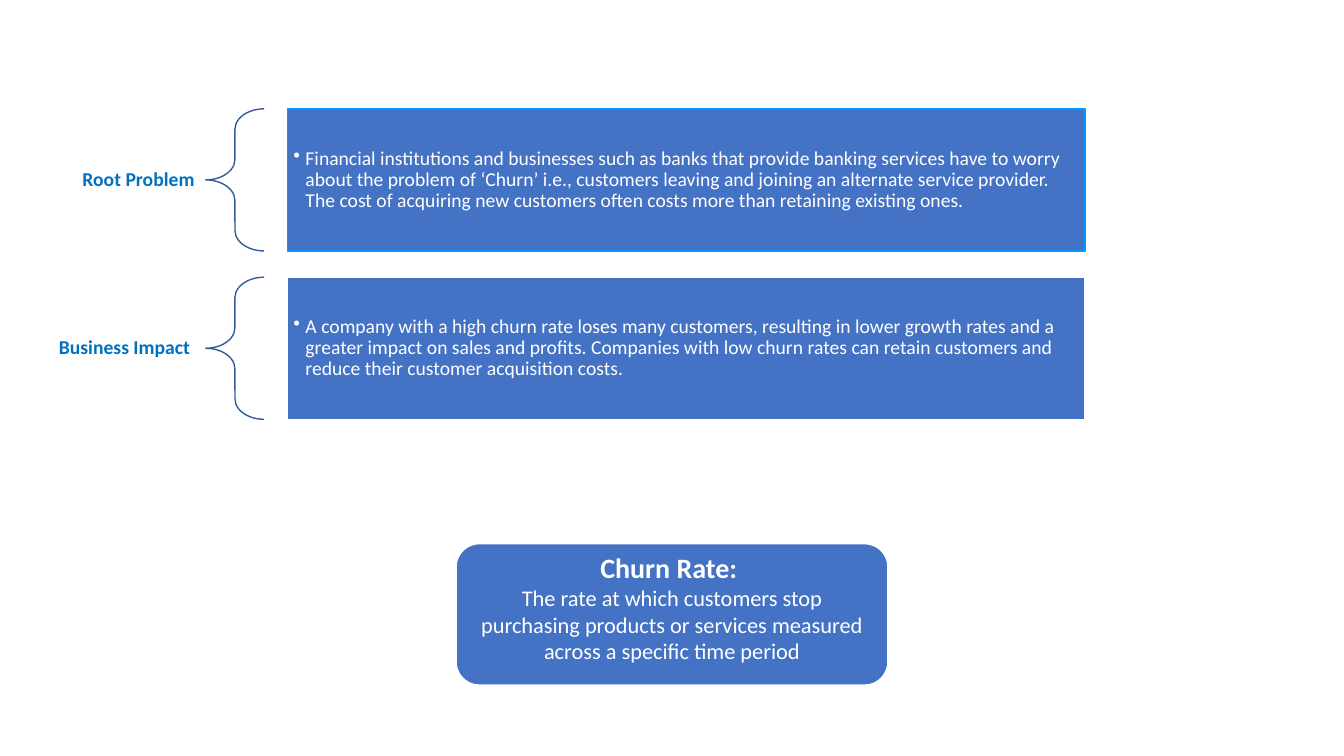
import lxml.etree
import pptx
import pptx.dml.color
import pptx.enum.shapes
import pptx.enum.text
import pptx.oxml.ns
import pptx.util

Inches = pptx.util.Inches
Pt = pptx.util.Pt
Shapes = pptx.enum.shapes.MSO_SHAPE
Align = pptx.enum.text.PP_ALIGN
Anchor = pptx.enum.text.MSO_ANCHOR


def color(value):
    return pptx.dml.color.RGBColor.from_string(value)


class ChurnSlide:
    font = "Calibri"
    blue = "4472C4"
    label_blue = "0070C0"
    brace_blue = "365B9D"
    white = "FFFFFF"

    def __init__(self, deck):
        self.page = deck.slides.add_slide(deck.slide_layouts[6])

    def shape(self, kind, left, top, width, height, line, fill=None, weight=1):
        box = self.page.shapes.add_shape(
            kind, Inches(left), Inches(top), Inches(width), Inches(height))
        box.shadow.inherit = False
        if fill:
            box.fill.solid()
            box.fill.fore_color.rgb = color(fill)
        else:
            box.fill.background()
        box.line.color.rgb = color(line)
        box.line.width = Pt(weight)
        return box

    def frame(self, box, anchor, left, top, right, bottom):
        frame = box.text_frame
        frame.word_wrap = True
        frame.vertical_anchor = anchor
        frame.margin_left, frame.margin_right = Inches(left), Inches(right)
        frame.margin_top, frame.margin_bottom = Inches(top), Inches(bottom)
        return frame

    def add_text(self, para, text, size, ink, align, bold=False, spacing=1.0):
        para.alignment = align
        para.line_spacing = spacing
        span = para.add_run()
        span.text = text
        span.font.name = self.font
        span.font.size = Pt(size)
        span.font.bold = bold
        span.font.color.rgb = color(ink)

    def bullet(self, para, indent):
        properties = para._p.get_or_add_pPr()
        properties.set("marL", str(Inches(indent)))
        properties.set("indent", str(-Inches(indent)))
        mark = lxml.etree.SubElement(properties, pptx.oxml.ns.qn("a:buChar"))
        mark.set("char", "•")

    def label(self, text, left, top, width, height):
        box = self.page.shapes.add_textbox(
            Inches(left), Inches(top), Inches(width), Inches(height))
        frame = self.frame(box, Anchor.MIDDLE, 0.11, 0.04, 0.11, 0.04)
        self.add_text(frame.paragraphs[0], text, 14, self.label_blue,
                      Align.RIGHT, bold=True, spacing=0.9)

    def brace(self, left, top, width, height):
        brace = self.shape(Shapes.LEFT_BRACE, left, top, width, height, self.brace_blue)
        brace.adjustments[0] = 0.35
        brace.adjustments[1] = 0.5

    def panel(self, text, left, top, width, height, line):
        box = self.shape(Shapes.RECTANGLE, left, top, width, height, line, self.blue)
        frame = self.frame(box, Anchor.MIDDLE, 0.06, 0.06, 0.06, 0.06)
        para = frame.paragraphs[0]
        self.add_text(para, text, 14, self.white, Align.LEFT, spacing=0.9)
        self.bullet(para, 0.12)

    def definition(self, term, meaning, left, top, width, height):
        box = self.shape(Shapes.ROUNDED_RECTANGLE, left, top, width, height,
                         self.white, self.blue, 1.5)
        frame = self.frame(box, Anchor.TOP, 0.1, 0, 0.1, 0)
        self.add_text(frame.paragraphs[0], term, 20, self.white, Align.CENTER, bold=True)
        self.add_text(frame.add_paragraph(), meaning, 16, self.white, Align.CENTER)


def main():
    deck = pptx.Presentation()
    deck.slide_width = Inches(13.33)
    deck.slide_height = Inches(7.5)
    slide = ChurnSlide(deck)

    topics = [
        ("Root Problem", "0099FF",
         "Financial institutions and businesses such as banks that provide banking "
         "services have to worry about the problem of ‘Churn’ i.e., customers leaving "
         "and joining an alternate service provider. The cost of acquiring new "
         "customers often costs more than retaining existing ones."),
        ("Business Impact ", "FFFFFF",
         "A company with a high churn rate loses many customers, resulting in lower "
         "growth rates and a greater impact on sales and profits. Companies with low "
         "churn rates can retain customers and reduce their customer acquisition costs."),
    ]
    height = 1.41
    for row, (name, outline, text) in enumerate(topics):
        top = 1.08 + row * 1.67
        slide.label(name, 0.1, top, 1.94, height)
        slide.brace(2.04, top, 0.58, height)
        slide.panel(text, 2.85, top, 7.91, height, outline)

    slide.definition(
        "Churn Rate: ",
        "The rate at which customers stop purchasing products or services measured "
        "across a specific time period",
        4.52, 5.39, 4.29, height)
    deck.save("out.pptx")


if __name__ == "__main__":
    main()
